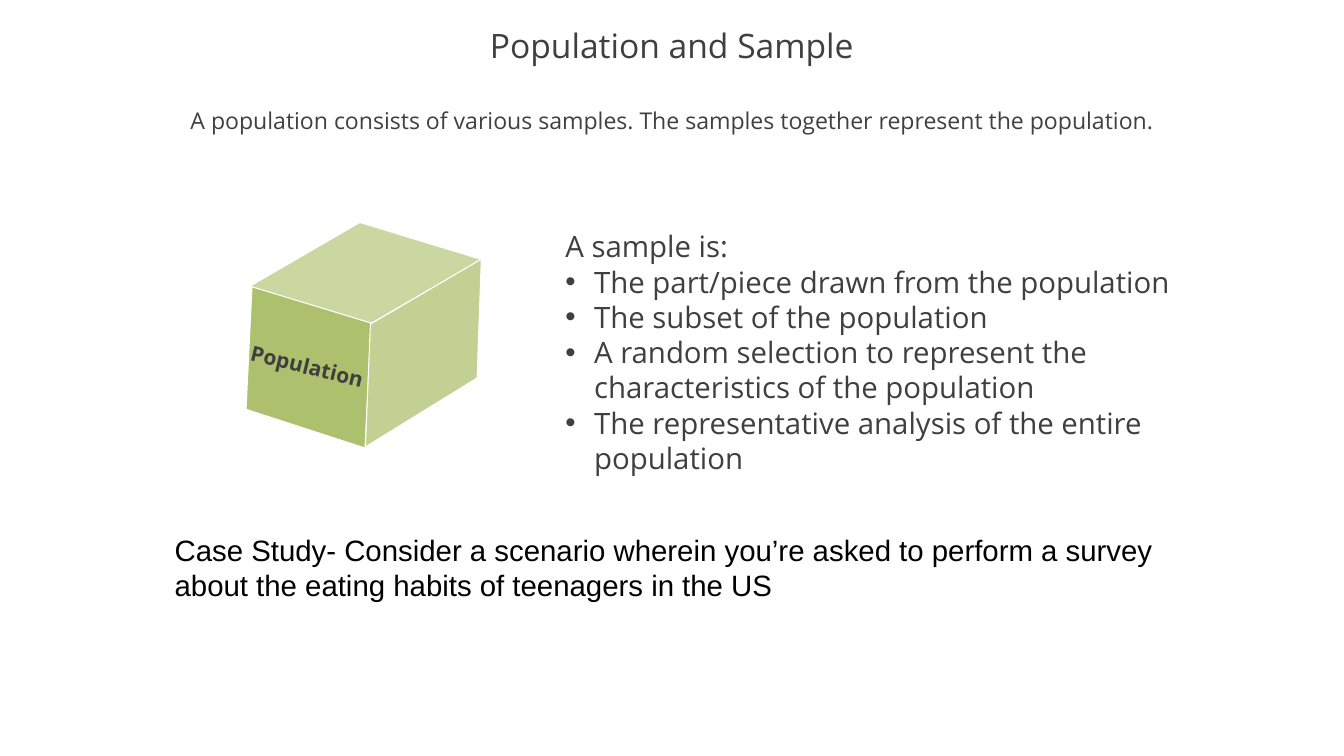
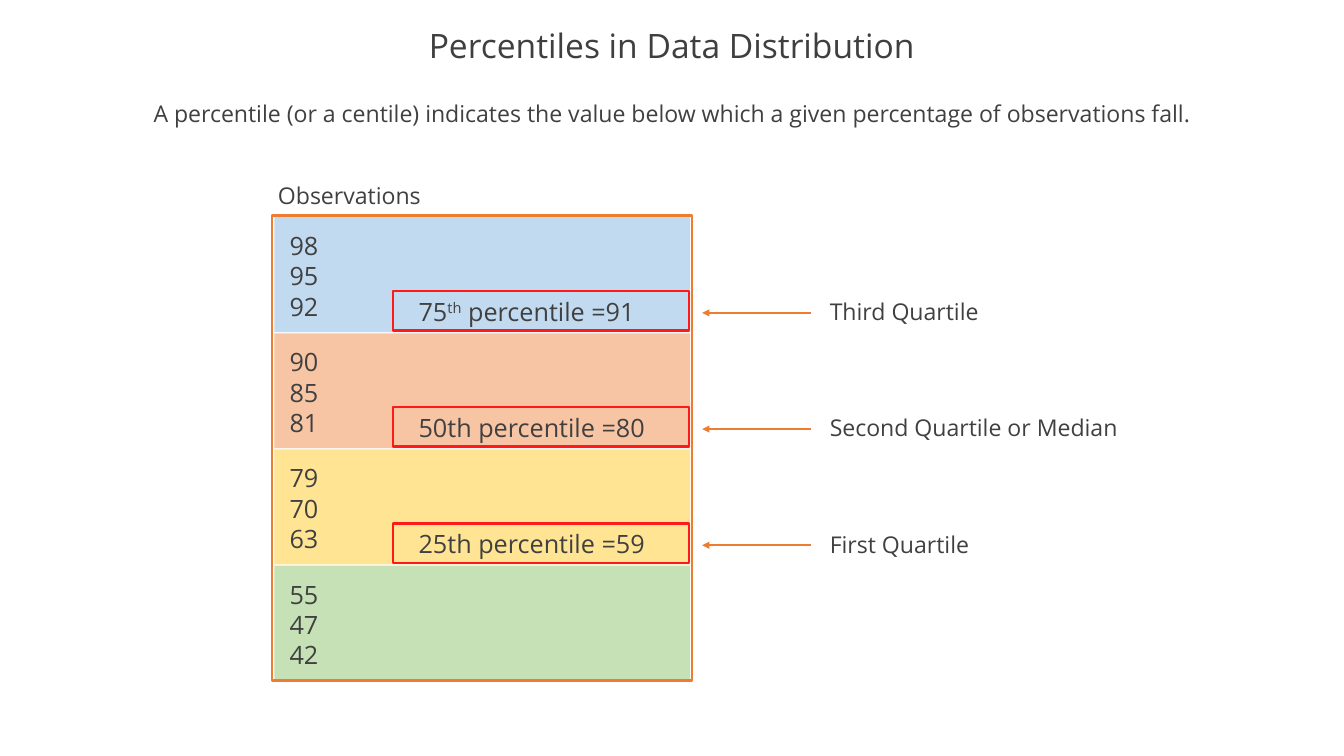
import pptx
import pptx.util
import pptx.dml.color
import pptx.enum.shapes
import pptx.enum.text
import pptx.oxml
import pptx.oxml.ns
from dataclasses import dataclass

Pt = pptx.util.Pt
Inches = pptx.util.Inches
Shapes = pptx.enum.shapes.MSO_SHAPE
Align = pptx.enum.text.PP_ALIGN
Anchor = pptx.enum.text.MSO_ANCHOR

COLOURS = {
    "title": "3F3F3F", "text": "404040", "case": "000000", "edge": "FFFFFF",
    "front": "ADC06E", "top": "CAD7A1", "side": "C2D094",
    "frame": "ED7D31", "mark": "FF1919",
    "blue": "C2DAF0", "orange": "F7C5A3", "yellow": "FFE593", "green": "C5E1B5",
}
FONT = "Open Sans"
WIDTH, HEIGHT = Inches(17.78), Inches(10)
COLUMN, ROW = WIDTH / 160, HEIGHT / 90


@dataclass
class Box:
    """A region measured in columns and rows of a 160 by 90 grid."""
    left: float
    top: float
    width: float
    height: float

    def area(self, left, top, width, height):
        return Box(self.left + left, self.top + top, width, height)

    def point(self, left, top):
        return round((self.left + left) * COLUMN), round((self.top + top) * ROW)

    def emu(self):
        return (*self.point(0, 0), round(self.width * COLUMN), round(self.height * ROW))


TITLE = Box(0, 2.25, 160, 6.75)


def rgb(name):
    return pptx.dml.color.RGBColor.from_string(COLOURS[name])


def style(span, size, colour="text", font=FONT, bold=False):
    span.font.size = Pt(size)
    span.font.name = font
    span.font.bold = bold
    span.font.color.rgb = rgb(colour)


def write(frame, lines, size, colour="text", font=FONT, align=Align.LEFT, bold=False):
    frame.text = "\n".join(lines)
    frame.word_wrap = True
    for para in frame.paragraphs:
        para.alignment = align
        para.space_before = Pt(0)
        for span in para.runs:
            style(span, size, colour, font, bold)


def add_text(page, box, lines, size, **look):
    text_box = page.shapes.add_textbox(*box.emu())
    write(text_box.text_frame, lines, size, **look)
    return text_box


def paint(shape, fill=None, line=None, weight=1):
    shape.shadow.inherit = False
    if fill:
        shape.fill.solid()
        shape.fill.fore_color.rgb = rgb(fill)
    else:
        shape.fill.background()
    if line:
        shape.line.color.rgb = rgb(line)
        shape.line.width = Pt(weight)
    else:
        shape.line.fill.background()


def add_shape(page, kind, box, **look):
    shape = page.shapes.add_shape(kind, *box.emu())
    paint(shape, **look)
    return shape


def set_bullet(para, mark=None, indent=0):
    properties = para._p.get_or_add_pPr()
    properties.set("marL", str(Inches(indent)))
    properties.set("indent", str(-Inches(indent)))
    tag = f'a:buChar char="{mark}"' if mark else "a:buNone"
    namespace = pptx.oxml.ns.nsdecls("a")
    if mark:
        properties.append(pptx.oxml.parse_xml(f'<a:buFont {namespace} typeface="Arial"/>'))
    properties.append(pptx.oxml.parse_xml(f"<{tag} {namespace}/>"))


def add_page(deck, title, intro, intro_top):
    page = deck.slides.add_slide(deck.slide_layouts[1])
    heading, body = page.shapes.title, page.placeholders[1]
    boxes = (TITLE, Box(8.75, intro_top, 142.5, 11))
    looks = ((title, 32, "title"), (intro, 22, "text"))
    for holder, box, (text, size, colour) in zip((heading, body), boxes, looks):
        holder.left, holder.top, holder.width, holder.height = box.emu()
        write(holder.text_frame, [text], size, colour, align=Align.CENTER)
        holder.text_frame.auto_size = pptx.enum.text.MSO_AUTO_SIZE.NONE
    heading.text_frame.vertical_anchor = Anchor.MIDDLE
    heading.text_frame.paragraphs[0].line_spacing = 0.9
    body.text_frame.vertical_anchor = Anchor.TOP
    set_bullet(body.text_frame.paragraphs[0])
    return page


def draw_cube(page, box):
    faces = (("front", box.area(0, 8.1, 23.67, 18.09), 55.4),
             ("top", box.area(4.77, 0, 27.72, 12.06), 353.4))
    for colour, face, angle in faces:
        add_shape(page, Shapes.DIAMOND, face, fill=colour, line="edge").rotation = angle
    corners = [box.point(*corner) for corner in
               ((19.2, 12.15), (32.4, 4.4), (31.9, 18.55), (18.6, 26.75))]
    outline = page.shapes.build_freeform(*corners[0])
    outline.add_line_segments(corners[1:], close=True)
    paint(outline.convert_to_shape(), fill="side", line="edge")
    label = add_text(page, box.area(3.95, 15.2, 15.6, 3.95), ["Population"], 20,
                     colour="title", bold=True)
    label.text_frame.word_wrap = False
    label.rotation = 13.6


def draw_sample_list(page, box):
    lines = ["A sample is:",
             "The part/piece drawn from the population",
             "The subset of the population",
             "A random selection to represent the characteristics of the population",
             "The representative analysis of the entire population"]
    sample_list = add_text(page, box, lines, 28, colour="title")
    for para in sample_list.text_frame.paragraphs[1:]:
        set_bullet(para, "•", 0.38)


def draw_bands(page, box, pitch):
    bands = (("blue", (98, 95, 92)), ("orange", (90, 85, 81)),
             ("yellow", (79, 70, 63)), ("green", (55, 47, 42)))
    for index, (colour, values) in enumerate(bands):
        band = add_shape(page, Shapes.RECTANGLE,
                         box.area(0.27, 0.2 + index * pitch, 49.5, 13.68), fill=colour)
        frame = band.text_frame
        write(frame, map(str, values), 24)
        frame.vertical_anchor = Anchor.MIDDLE
        frame.margin_left, frame.margin_top = Inches(0.2), Inches(0.08)


def draw_arrow(page, start, end):
    """Draw a line whose arrowhead sits at its start."""
    arrow = page.shapes.add_connector(pptx.enum.shapes.MSO_CONNECTOR.STRAIGHT, *start, *end)
    arrow.line.color.rgb = rgb("frame")
    arrow.line.width = Pt(2.25)
    namespace = pptx.oxml.ns.nsdecls("a")
    properties = arrow._element.spPr
    properties.get_or_add_ln().append(
        pptx.oxml.parse_xml(f'<a:headEnd {namespace} type="triangle"/>'))
    properties.append(pptx.oxml.parse_xml(f"<a:effectLst {namespace}/>"))


def draw_quartiles(page, box, pitch):
    quartiles = ((("75", "th", " percentile =91"), "Third Quartile"),
                 (("50th percentile =80",), "Second Quartile or Median"),
                 (("25th percentile =59",), "First Quartile"))
    for index, (spans, name) in enumerate(quartiles):
        row = box.area(0, index * pitch, box.width, pitch)
        percentile = add_text(page, row.area(16.55, 9.15, 32, 4.5), [""], 24)
        para = percentile.text_frame.paragraphs[0]
        for text in spans:
            span = para.add_run()
            span.text = text
            style(span, 24)
            if text == "th":
                span._r.get_or_add_rPr().set("baseline", "30000")
        add_text(page, row.area(65.5, 9.35, 44.2, 4.5), [name], 22)
        draw_arrow(page, row.point(51.2, 11.6), row.point(64.1, 11.6))
        add_shape(page, Shapes.RECTANGLE, row.area(14.4, 9, 35.2, 4.7),
                  line="mark", weight=2.25)


def build_population(deck):
    page = add_page(deck, "Population and Sample",
                    "A population consists of various samples. "
                    "The samples together represent the population.", 12.25)
    draw_sample_list(page, Box(66.42, 26.75, 81.8, 30.7))
    draw_cube(page, Box(24.9, 26.45, 32.5, 28))
    add_text(page, Box(19.9, 62.9, 123.65, 9.35),
             ["Case Study- Consider a scenario wherein you’re asked to perform a survey "
              "about the eating habits of teenagers in the US"],
             28, colour="case", font="Arial")


def build_percentiles(deck):
    page = add_page(deck, "Percentiles in Data Distribution",
                    "A percentile (or a centile) indicates the value below which "
                    "a given percentage of observations fall.", 11.35)
    stack, pitch = Box(32.4, 25.65, 49.95, 55.35), 13.83
    add_text(page, stack.area(-0.2, -4.5, 20.6, 4.5), ["Observations"], 22)
    draw_bands(page, stack, pitch)
    draw_quartiles(page, stack, pitch)
    add_shape(page, Shapes.RECTANGLE, stack, line="frame", weight=2.25)


def main():
    deck = pptx.Presentation()
    deck.slide_width, deck.slide_height = WIDTH, HEIGHT
    build_population(deck)
    build_percentiles(deck)
    deck.save("out.pptx")


if __name__ == "__main__":
    main()
